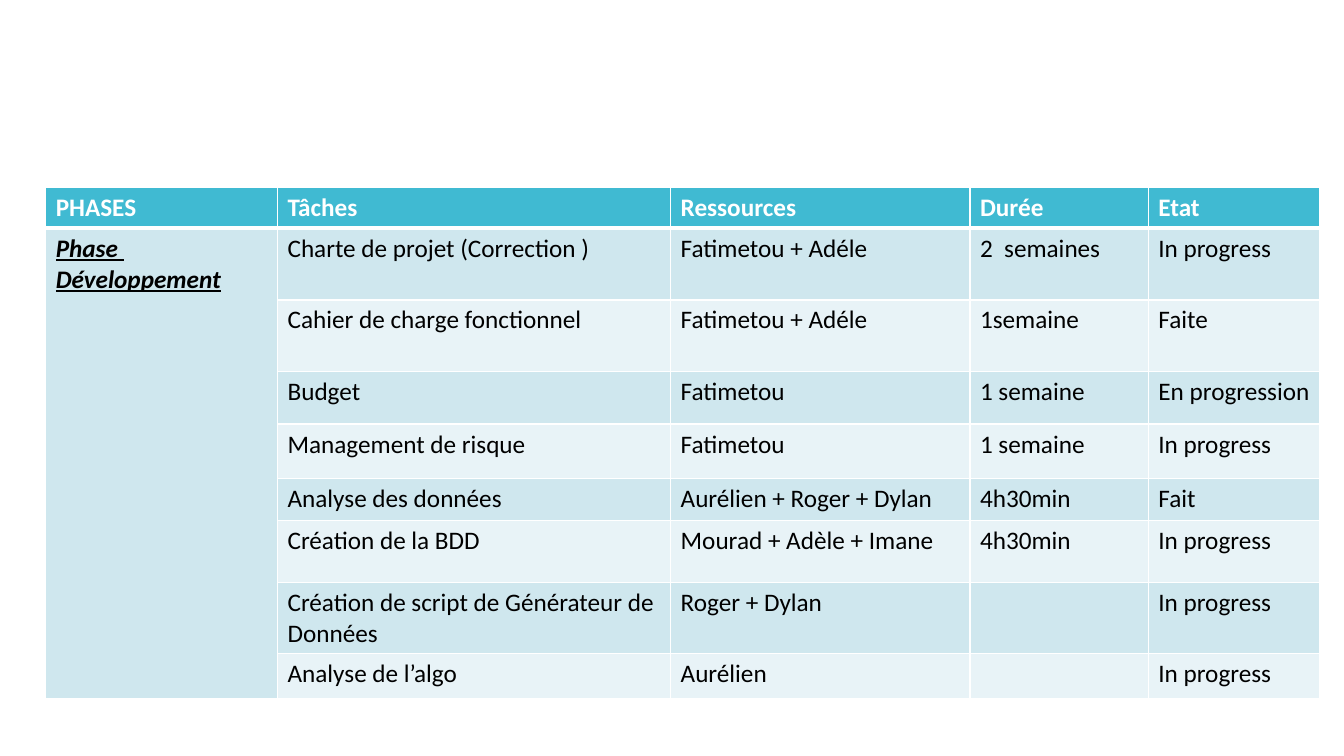
from dataclasses import dataclass

from lxml.etree import SubElement
from pptx import Presentation
from pptx.dml.color import RGBColor
from pptx.oxml.ns import qn
from pptx.util import Inches, Pt


@dataclass(frozen=True)
class Theme:
    font: str = "Calibri"
    text_size: int = 18
    header_fill: str = "40BAD2"
    odd_fill: str = "CFE7EE"
    even_fill: str = "E8F3F7"
    light: str = "FFFFFF"
    dark: str = "000000"
    thin: int = 1
    thick: int = 3


class SlideBuilder:
    def __init__(self, presentation, theme):
        self.theme = theme
        self.width = presentation.slide_width
        self.height = presentation.slide_height
        self.slide = presentation.slides.add_slide(presentation.slide_layouts[6])

    def table(self, left, top, width, height, column_weights, row_weights):
        table_width, table_height = self.width * width, self.height * height
        frame = self.slide.shapes.add_table(
            len(row_weights), len(column_weights),
            int(self.width * left), int(self.height * top),
            int(table_width), int(table_height))
        table = frame.table
        for column, weight in zip(table.columns, column_weights):
            column.width = int(table_width * weight / sum(column_weights))
        for row, weight in zip(table.rows, row_weights):
            row.height = int(table_height * weight / sum(row_weights))
        return table

    def borders(self, cell, top, bottom):
        properties = cell._tc.get_or_add_tcPr()
        widths = {"a:lnL": self.theme.thin, "a:lnR": self.theme.thin,
                  "a:lnT": top, "a:lnB": bottom}
        for tag, width in widths.items():
            line = SubElement(properties, qn(tag), w=str(Pt(width)))
            fill = SubElement(line, qn("a:solidFill"))
            SubElement(fill, qn("a:srgbClr"), val=self.theme.light)

    def cell(self, table, row, column):
        theme = self.theme
        cell = table.cell(row, column)
        self.borders(cell,
                     theme.thick if row == 1 else theme.thin,
                     theme.thick if row == 0 else theme.thin)
        cell.fill.solid()
        band = theme.odd_fill if row % 2 else theme.even_fill
        cell.fill.fore_color.rgb = RGBColor.from_string(
            theme.header_fill if row == 0 else band)
        return cell

    def text(self, cell, lines, color, bold=False, italic=False, underline=False):
        for index, line in enumerate(lines):
            frame = cell.text_frame
            paragraph = frame.add_paragraph() if index else frame.paragraphs[0]
            run = paragraph.add_run()
            run.text = line
            font = run.font
            font.name, font.size = self.theme.font, Pt(self.theme.text_size)
            font.bold, font.italic, font.underline = bold, italic, underline
            font.color.rgb = RGBColor.from_string(color)


HEADERS = ("PHASES", "Tâches", "Ressources", "Durée", "Etat")
PHASE = ("Phase ", "Développement")
TASKS = (
    ("Charte de projet (Correction )", "Fatimetou + Adéle", "2  semaines", "In progress"),
    ("Cahier de charge fonctionnel", "Fatimetou + Adéle", "1semaine", "Faite"),
    ("Budget", "Fatimetou", "1 semaine", "En progression"),
    ("Management de risque", "Fatimetou", "1 semaine", "In progress"),
    ("Analyse des données", "Aurélien + Roger + Dylan", "4h30min", "Fait"),
    ("Création de la BDD", "Mourad + Adèle + Imane", "4h30min", "In progress"),
    ("Création de script de Générateur de Données", "Roger + Dylan", "", "In progress"),
    ("Analyse de l’algo", "Aurélien", "", "In progress"),
)
COLUMN_WEIGHTS = (2.3, 3.9, 2.97, 1.77, 1.7)
ROW_WEIGHTS = (0.4, 0.71, 0.71, 0.52, 0.54, 0.42, 0.61, 0.71, 0.44)


def main():
    presentation = Presentation()
    presentation.slide_width = Inches(13.33)
    presentation.slide_height = Inches(7.5)
    theme = Theme()
    builder = SlideBuilder(presentation, theme)
    table = builder.table(left=0.034, top=0.248, width=0.948, height=0.675,
                          column_weights=COLUMN_WEIGHTS, row_weights=ROW_WEIGHTS)
    cells = [[builder.cell(table, row, column) for column in range(len(HEADERS))]
             for row in range(len(ROW_WEIGHTS))]
    for cell, header in zip(cells[0], HEADERS):
        builder.text(cell, [header], theme.light, bold=True)
    phase_cell = cells[1][0]
    phase_cell.merge(cells[-1][0])
    builder.text(phase_cell, PHASE, theme.dark, bold=True, italic=True, underline=True)
    for row_cells, task in zip(cells[1:], TASKS):
        for cell, value in zip(row_cells[1:], task):
            if value:
                builder.text(cell, [value], theme.dark)
    presentation.save("out.pptx")


if __name__ == "__main__":
    main()
